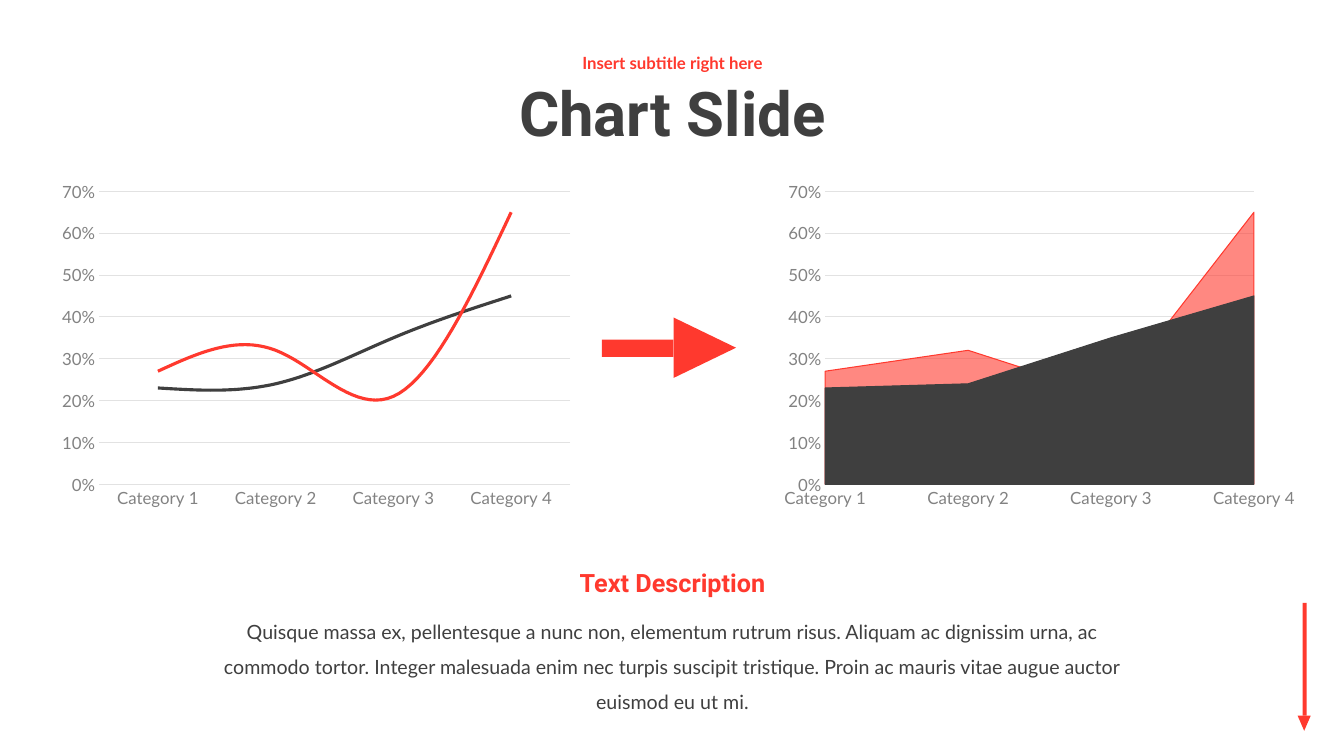
"""Build a chart slide with a smooth line chart, an area chart and a description."""
import pptx
import pptx.chart.data
import pptx.dml.color
import pptx.enum.chart
import pptx.enum.shapes
import pptx.enum.text
import pptx.oxml
import pptx.oxml.ns
import pptx.util

PX = 9144
COLORS = {"dark": "3F3F3F", "red": "FF392E", "label": "828282", "grid": "E2E2E2"}
RGB = {name: pptx.dml.color.RGBColor.from_string(code) for name, code in COLORS.items()}
Pt = pptx.util.Pt
SHAPES = pptx.enum.shapes.MSO_SHAPE
ANCHORS = pptx.enum.text.MSO_ANCHOR
CHARTS = pptx.enum.chart.XL_CHART_TYPE


def place(shape, box):
    shape.left, shape.top, shape.width, shape.height = [value * PX for value in box]


def write(shape, text, font_name, size, color, bold, spacing, anchor):
    text_frame = shape.text_frame
    text_frame.text = text
    text_frame.word_wrap = True
    text_frame.auto_size = pptx.enum.text.MSO_AUTO_SIZE.NONE
    text_frame.vertical_anchor = anchor
    paragraph = text_frame.paragraphs[0]
    paragraph.alignment = pptx.enum.text.PP_ALIGN.CENTER
    paragraph.line_spacing = spacing
    paragraph.space_before = Pt(0)
    font = paragraph.runs[0].font
    font.name, font.size, font.bold = font_name, Pt(size), bold
    font.color.rgb = RGB[color]


presentation = pptx.Presentation()
presentation.slide_width = 1333 * PX
presentation.slide_height = 750 * PX
slide = presentation.slides.add_slide(presentation.slide_layouts[5])

title = slide.shapes.title
place(title, (292, 64, 750, 103))
write(title, "Chart Slide", "Roboto", 44, "dark", True, 0.9, ANCHORS.MIDDLE)

description = (
    "Quisque massa ex, pellentesque a nunc non, elementum rutrum risus. "
    "Aliquam ac dignissim urna, ac commodo tortor. Integer malesuada enim nec "
    "turpis suscipit tristique. Proin ac mauris vitae augue auctor euismod eu ut mi."
)
texts = [
    ((292, 45, 750, 38), "Insert subtitle right here", "Lato", 12, "red", True, 0.9, ANCHORS.MIDDLE),
    ((521, 558, 292, 40), "Text Description", "Roboto", 18, "red", True, 1.0, ANCHORS.TOP),
    ((192, 598, 950, 77), description, "Lato", 14, "dark", False, 1.5, ANCHORS.TOP),
]
for box, *style in texts:
    text_box = slide.shapes.add_textbox(0, 0, 0, 0)
    place(text_box, box)
    write(text_box, *style)

arrow_parts = [
    (SHAPES.RECTANGLE, (1292, 598, 4, 112), 0),
    (SHAPES.ISOSCELES_TRIANGLE, (1287, 710, 13, 15), 180),
    (SHAPES.RECTANGLE, (597, 337, 71, 17), 0),
    (SHAPES.ISOSCELES_TRIANGLE, (669, 314, 60, 62), 90),
]
for kind, box, rotation in arrow_parts:
    part = slide.shapes.add_shape(kind, 0, 0, 0, 0)
    place(part, box)
    part.rotation = rotation
    part.shadow.inherit = False
    part.fill.solid()
    part.fill.fore_color.rgb = RGB["red"]
    part.line.fill.background()

chart_data = pptx.chart.data.CategoryChartData(number_format="0%")
chart_data.categories = [f"Category {number}" for number in range(1, 5)]
chart_data.add_series("Series 1", (0.23, 0.24, 0.35, 0.45))
chart_data.add_series("Series 2", (0.27, 0.32, 0.21, 0.65))

for chart_type, left, plot_x, plot_width in [
    (CHARTS.LINE, 51, 0.09, 0.89),
    (CHARTS.AREA, 766, 0.1, 0.81),
]:
    box = [value * PX for value in (left, 173, 525, 338)]
    chart = slide.shapes.add_chart(chart_type, *box, chart_data).chart
    chart.has_legend = False
    chart.has_title = False
    chart.font.name, chart.font.size = "Lato", Pt(10)
    chart.font.color.rgb = RGB["dark"]
    plot = chart.plots[0]
    plot.vary_by_categories = False

    category_axis, value_axis = chart.category_axis, chart.value_axis
    for axis in (category_axis, value_axis):
        axis.major_tick_mark = pptx.enum.chart.XL_TICK_MARK.NONE
        axis.minor_tick_mark = pptx.enum.chart.XL_TICK_MARK.NONE
        axis.tick_labels.font.name = "Lato"
        axis.tick_labels.font.size = Pt(12)
        axis.tick_labels.font.color.rgb = RGB["label"]
    category_axis.has_major_gridlines = False
    value_axis.has_major_gridlines = True
    for line in (category_axis.format.line, value_axis.major_gridlines.format.line):
        line.color.rgb = RGB["grid"]
        line.width = Pt(0.75)
    value_axis.format.line.fill.background()
    value_axis.minimum_scale, value_axis.maximum_scale = 0, 0.7
    value_axis.major_unit = 0.1
    value_axis.tick_labels.number_format = "0%"
    value_axis.tick_labels.number_format_is_linked = False

    for series, color in zip(plot.series, ("dark", "red")):
        series.format.line.color.rgb = RGB[color]
        if chart_type == CHARTS.LINE:
            series.smooth = True
            series.format.line.width = Pt(2.25)
            series.marker.style = pptx.enum.chart.XL_MARKER_STYLE.NONE
        else:
            series.format.line.width = Pt(0.75)
            series.format.fill.solid()
            series.format.fill.fore_color.rgb = RGB[color]
            if color == "red":
                fill_color = series.format.fill._xPr.find(".//" + pptx.oxml.ns.qn("a:srgbClr"))
                alpha = fill_color.makeelement(pptx.oxml.ns.qn("a:alpha"), {"val": "60000"})
                fill_color.append(alpha)

    plot_area = chart._chartSpace.chart.plotArea
    for layout in plot_area.findall(pptx.oxml.ns.qn("c:layout")):
        plot_area.remove(layout)
    plot_area.insert(0, pptx.oxml.parse_xml(
        f'<c:layout {pptx.oxml.ns.nsdecls("c")}><c:manualLayout><c:layoutTarget val="inner"/>'
        '<c:xMode val="edge"/><c:yMode val="edge"/>'
        f'<c:x val="{plot_x}"/><c:y val="0.05"/><c:w val="{plot_width}"/><c:h val="0.86"/>'
        "</c:manualLayout></c:layout>"
    ))
    if chart_type == CHARTS.AREA:
        plot_area.find(".//" + pptx.oxml.ns.qn("c:crossBetween")).set("val", "midCat")

presentation.save("out.pptx")
